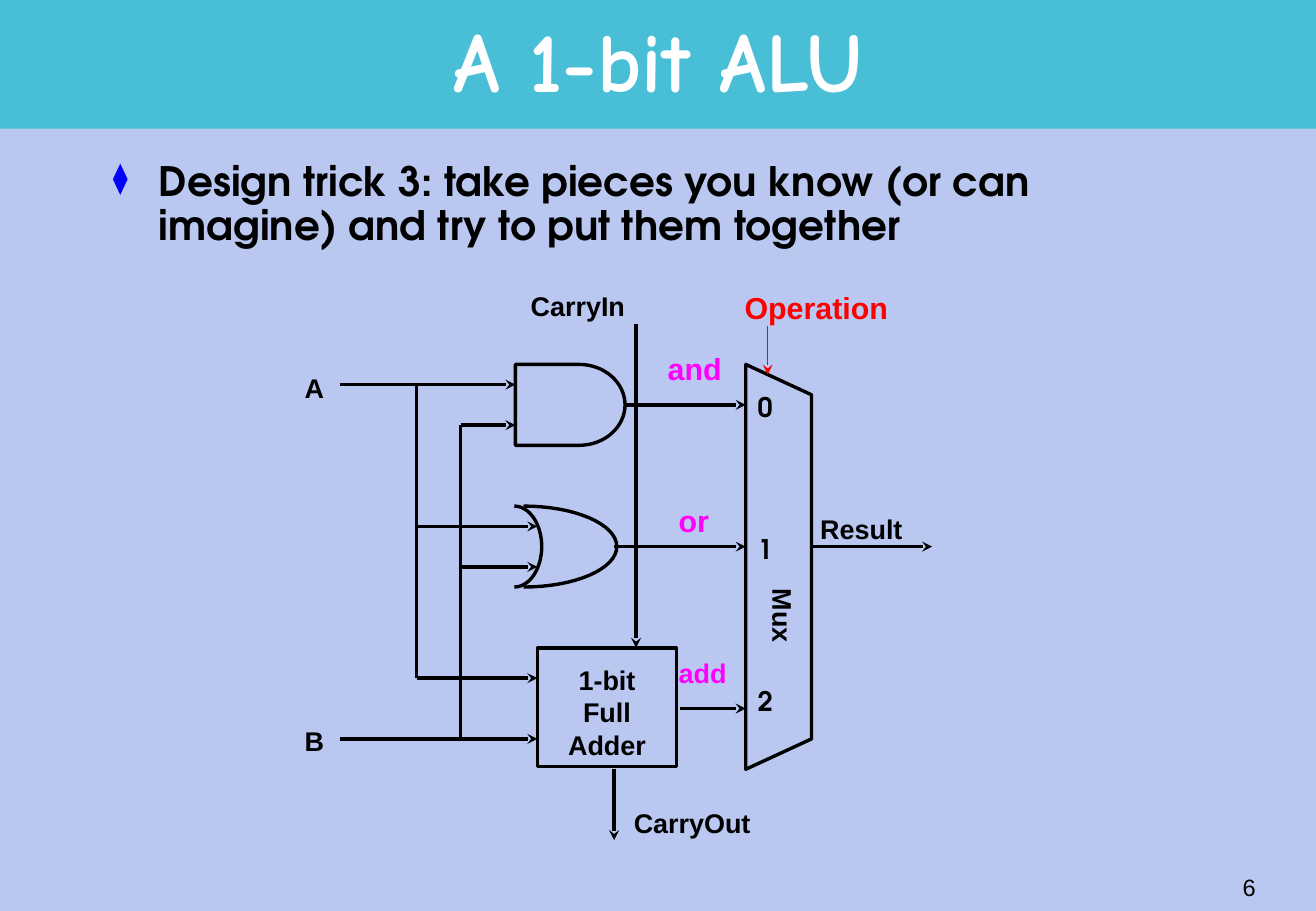
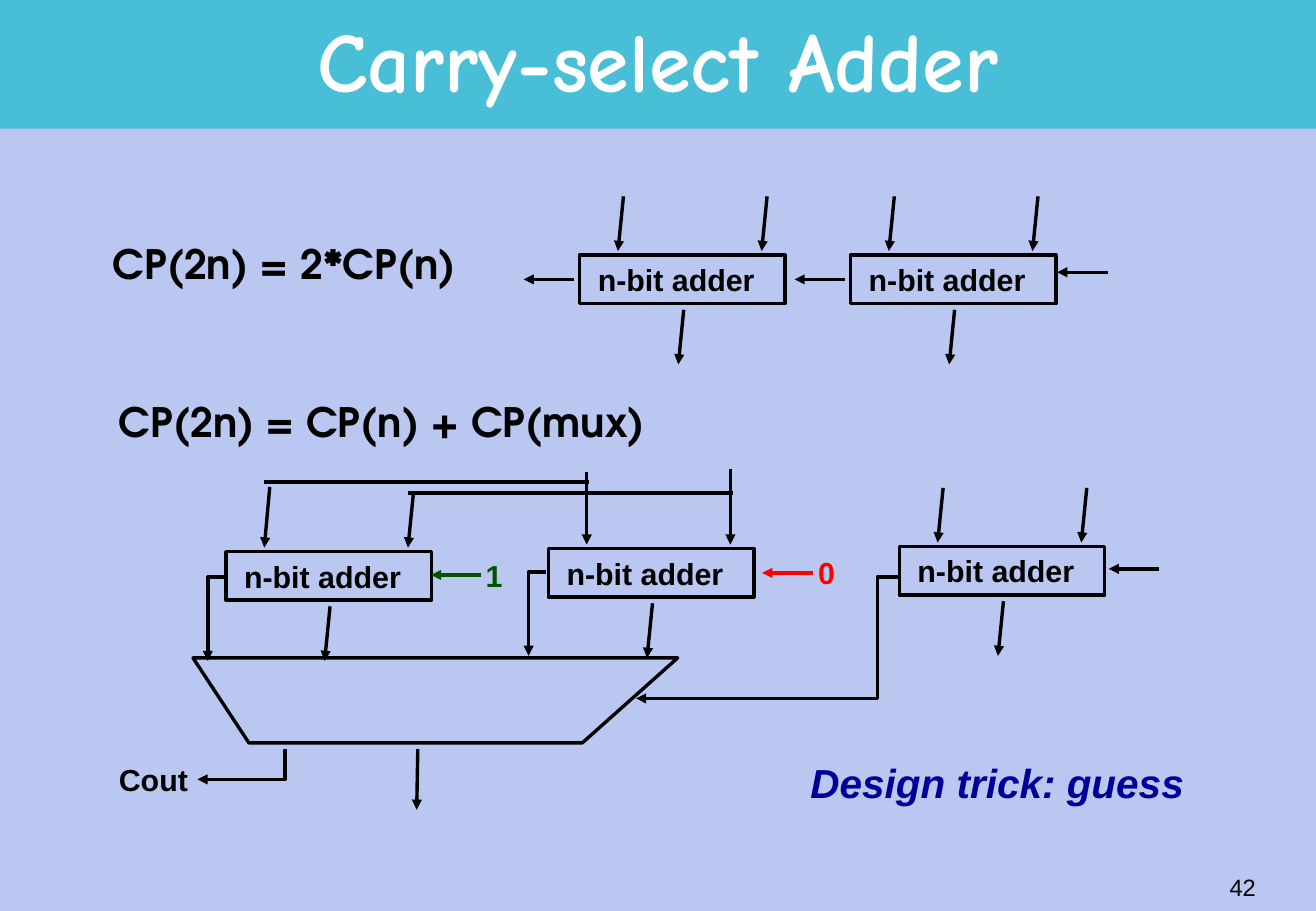
from math import cos, pi, sin

from lxml import etree
from pptx import Presentation
from pptx.dml.color import RGBColor
from pptx.enum.shapes import MSO_CONNECTOR, MSO_SHAPE
from pptx.enum.text import MSO_ANCHOR, PP_ALIGN
from pptx.oxml.ns import qn
from pptx.util import Inches, Pt

# Shared look: every length is in columns and rows of this grid
WIDTH, HEIGHT = Inches(10.83), Inches(7.5)
COLUMNS, ROWS = 120, 45
COLOURS = {
    "page": "BAC8F1", "band": "49BFD7", "title": "FFFFFF", "ink": "000000",
    "bullet": "0000FF", "function": "FF00FF", "red": "FF0000",
    "green": "005400", "trick": "000099",
}
SANS, TITLE_FONT, BODY_FONT = "Arial", "Comic Neue", "TeX Gyre Adventor"


def across(columns):
    return round(columns * WIDTH / COLUMNS)


def down(rows):
    return round(rows * HEIGHT / ROWS)


def place(column, row, width, height):
    return across(column), down(row), across(width), down(height)


def rgb(name):
    return RGBColor.from_string(COLOURS[name])


# Text
def add_bullet(para):
    properties = para._p.get_or_add_pPr()
    properties.set("marL", str(Inches(0.38)))
    properties.set("indent", str(-Inches(0.38)))
    colour = etree.SubElement(properties, qn("a:buClr"))
    etree.SubElement(colour, qn("a:srgbClr"), val=COLOURS["bullet"])
    etree.SubElement(properties, qn("a:buSzPct"), val="75000")
    etree.SubElement(properties, qn("a:buChar"), char="⧫")


def write(frame, text, size=16, colour="ink", font=SANS, bold=True,
          italic=False, align=PP_ALIGN.LEFT, spacing=None, bullet=False):
    for index, line in enumerate(text.split("\n")):
        para = frame.add_paragraph() if index else frame.paragraphs[0]
        para.text = line
        para.alignment = align
        if spacing:
            para.line_spacing = spacing
        if bullet:
            add_bullet(para)
        para.font.name, para.font.size = font, Pt(size)
        para.font.bold, para.font.italic = bold, italic
        para.font.color.rgb = rgb(colour)


def label(page, column, row, width, text, size=16, height=None, wrap=False,
          anchor=MSO_ANCHOR.TOP, rotation=0, **style):
    height = height or 0.6 + size / 10
    box = page.shapes.add_textbox(*place(column, row, width, height))
    box.rotation = rotation
    box.text_frame.word_wrap = wrap
    box.text_frame.vertical_anchor = anchor
    write(box.text_frame, text, size, **style)


# Outlines and wires
def stroke(shape, colour="ink", weight=2, head=None):
    shape.line.color.rgb = rgb(colour)
    shape.line.width = Pt(weight)
    if head:
        line = shape.element.spPr.find(qn("a:ln"))
        etree.SubElement(line, qn("a:tailEnd"), type=head)


def outline(page, points, closed=False, **style):
    corners = [(across(column), down(row)) for column, row in points]
    builder = page.shapes.build_freeform(*corners[0])
    builder.add_line_segments(corners[1:], close=closed)
    shape = builder.convert_to_shape()
    shape.fill.background()
    shape.shadow.inherit = False
    stroke(shape, **style)


def wire(page, start, end, **style):
    connector = page.shapes.add_connector(
        MSO_CONNECTOR.STRAIGHT, across(start[0]), down(start[1]),
        across(end[0]), down(end[1]))
    stroke(connector, **style)
    etree.SubElement(connector.element.spPr, qn("a:effectLst"))


def block(page, column, row, width, height):
    shape = page.shapes.add_shape(
        MSO_SHAPE.RECTANGLE, *place(column, row, width, height))
    shape.fill.background()
    shape.shadow.inherit = False
    stroke(shape)
    return shape


def bulge(column, row, width, height, steps=32):
    """Points of a half ellipse that bulges to the right."""
    angles = [pi * step / steps for step in range(steps + 1)]
    return [(column + width * sin(angle),
             row + height * (1 - cos(angle)) / 2) for angle in angles]


def add_page(deck, title, number):
    page = deck.slides.add_slide(deck.slide_layouts[6])
    page.background.fill.solid()
    page.background.fill.fore_color.rgb = rgb("page")
    band = page.shapes.add_shape(
        MSO_SHAPE.RECTANGLE, *place(0, 0, COLUMNS, 6.36))
    band.fill.solid()
    band.fill.fore_color.rgb = rgb("band")
    band.line.fill.background()
    band.shadow.inherit = False
    label(page, 9, 0.3, 102, title, 50, height=5.95, wrap=True,
          anchor=MSO_ANCHOR.MIDDLE, colour="title", font=TITLE_FONT,
          align=PP_ALIGN.CENTER, spacing=0.85)
    label(page, 90.6, 42.3, 25, number, 14, height=3, wrap=True,
          anchor=MSO_ANCHOR.MIDDLE, bold=False, align=PP_ALIGN.RIGHT)
    return page


def build_alu(deck):
    page = add_page(deck, "A 1-bit ALU", "6")
    label(page, 9.2, 7.7, 102,
          "Design trick 3: take pieces you know (or can imagine) "
          "and try to put them together",
          24, height=33.4, wrap=True, font=BODY_FONT, spacing=0.9, bullet=True)

    # Gates, adder and multiplexer
    outline(page, [(47, 18), *bulge(52.8, 18, 4.2, 4), (47, 22)], closed=True)
    outline(page, bulge(47.75, 25, 8.5, 4))
    outline(page, bulge(46.9, 25, 2.5, 4))
    adder = block(page, 49, 32, 12.7, 5.85)
    adder.text_frame.margin_top = Inches(0.13)
    adder.text_frame.vertical_anchor = MSO_ANCHOR.TOP
    write(adder.text_frame, "1-bit\nFull\nAdder", align=PP_ALIGN.CENTER)
    outline(page, [(68, 18), (74, 19.5), (74, 36.5), (68, 38)], closed=True)

    # Input rails and plain wires
    a_rail, b_rail = 38, 42
    wire(page, (a_rail, 19), (a_rail, 33.5))
    wire(page, (b_rail, 21), (b_rail, 36.5))

    # Signals
    for start, end in [
        ((31, 19), (47, 19)), ((b_rail, 21), (47, 21)),
        ((a_rail, 26), (49, 26)), ((b_rail, 28), (49, 28)),
        ((a_rail, 33.5), (49, 33.5)), ((31, 36.5), (49, 36.5)),
        ((57, 20), (68, 20)), ((56, 27), (68, 27)), ((62, 35), (68, 35)),
        ((58, 16), (58, 32)), ((56, 38), (56, 41.5)), ((74, 27), (85, 27)),
    ]:
        wire(page, start, end, head="stealth")
    wire(page, (70, 16.1), (70, 18.5), colour="red", weight=1, head="stealth")

    # Names
    for column, row, width, text in [
        (26.7, 18.06, 4.3, "A"), (26.7, 35.5, 4.3, "B"),
        (47.3, 14, 10.9, "CarryIn"), (56.7, 39.55, 12.9, "CarryOut"),
        (73.7, 25, 10.5, "Result"),
    ]:
        label(page, column, row, width, text)
    label(page, 67.8, 29.35, 7.2, "Mux", rotation=90)
    label(page, 66.8, 14, 16.6, "Operation", 18, colour="red")
    for column, row, width, text, size in [
        (59.8, 17, 7.8, "and", 18), (60.8, 24.5, 5.4, "or", 18),
        (60.8, 32.15, 7.2, "add", 16),
    ]:
        label(page, column, row, width, text, size, colour="function")
    for number, row in enumerate((19, 26, 33.5)):
        label(page, 68, row, 4, str(number), font=BODY_FONT)


def add_adder(page, column, row, starts=(-2.9, -2.9), slant=0.5):
    """An adder with two inputs from above and a sum below."""
    shape = block(page, column, row, 18.75, 2.4)
    frame = shape.text_frame
    frame.margin_left, frame.margin_right = Inches(0.15), 0
    frame.margin_top = frame.margin_bottom = 0
    frame.word_wrap = False
    frame.vertical_anchor = MSO_ANCHOR.MIDDLE
    write(frame, "n-bit adder", 18)
    for offset, start in zip((3.5, 16.6), starts):
        tip = column + offset
        wire(page, (tip + slant, row + start), (tip, row - 0.2),
             head="triangle")
    wire(page, (column + 9.5, row + 2.7), (column + 9, row + 5.4),
         head="triangle")


def build_carry_select(deck):
    page = add_page(deck, "Carry-select Adder", "42")
    label(page, 9.2, 11.5, 34.9, "CP(2n) = 2*CP(n)", 24, font=BODY_FONT)
    label(page, 9.75, 19.3, 52.4, "CP(2n) = CP(n) + CP(mux)", 24,
          font=BODY_FONT)

    # Ripple pair above, select trio below
    add_adder(page, 52.85, 12.6)
    add_adder(page, 77.55, 12.6)
    add_adder(page, 82, 27)
    add_adder(page, 50, 27.1, starts=(-3.8, -3.95), slant=0)
    add_adder(page, 20.6, 27.25, starts=(-3.2, -2.9))

    # Carries, all of one length
    for tip, row, colour in [
        (47.75, 13.8, "ink"), (72.45, 13.8, "ink"), (96.4, 13.45, "ink"),
        (101.1, 28.1, "ink"), (69.5, 28.3, "red"), (39.3, 28.4, "green"),
    ]:
        wire(page, (tip + 4.6, row), (tip, row), colour=colour,
             head="triangle")
    label(page, 43.2, 27.25, 4, "1", 18, colour="green")
    label(page, 73.5, 27.1, 4, "0", 18, colour="red")

    # Shared operands
    wire(page, (53.7, 23.8), (24.05, 23.8))
    wire(page, (66.8, 24.35), (37.2, 24.35))

    # Multiplexer with its carries, select and outputs
    outline(page, [(17.6, 32.5), (61.8, 32.5), (53.1, 36.7), (22.7, 36.7)],
            closed=True)
    for points in [
        [(49.75, 28.25), (48.2, 28.25), (48.2, 32.4)],
        [(20.5, 28.5), (18.95, 28.5), (18.95, 32.65)],
        [(82, 28.5), (80, 28.5), (80, 34.5), (58, 34.5)],
        [(26, 37), (26, 38.5), (18, 38.5)],
    ]:
        outline(page, points, head="triangle")
    wire(page, (38.1, 37), (38, 40), head="triangle")
    label(page, 9.75, 37.3, 8.5, "Cout", 18)
    label(page, 72.8, 37.15, 39.3, "Design trick: guess", 24, colour="trick",
          italic=True)


def main():
    deck = Presentation()
    deck.slide_width, deck.slide_height = WIDTH, HEIGHT
    build_alu(deck)
    build_carry_select(deck)
    deck.save("out.pptx")


if __name__ == "__main__":
    main()
